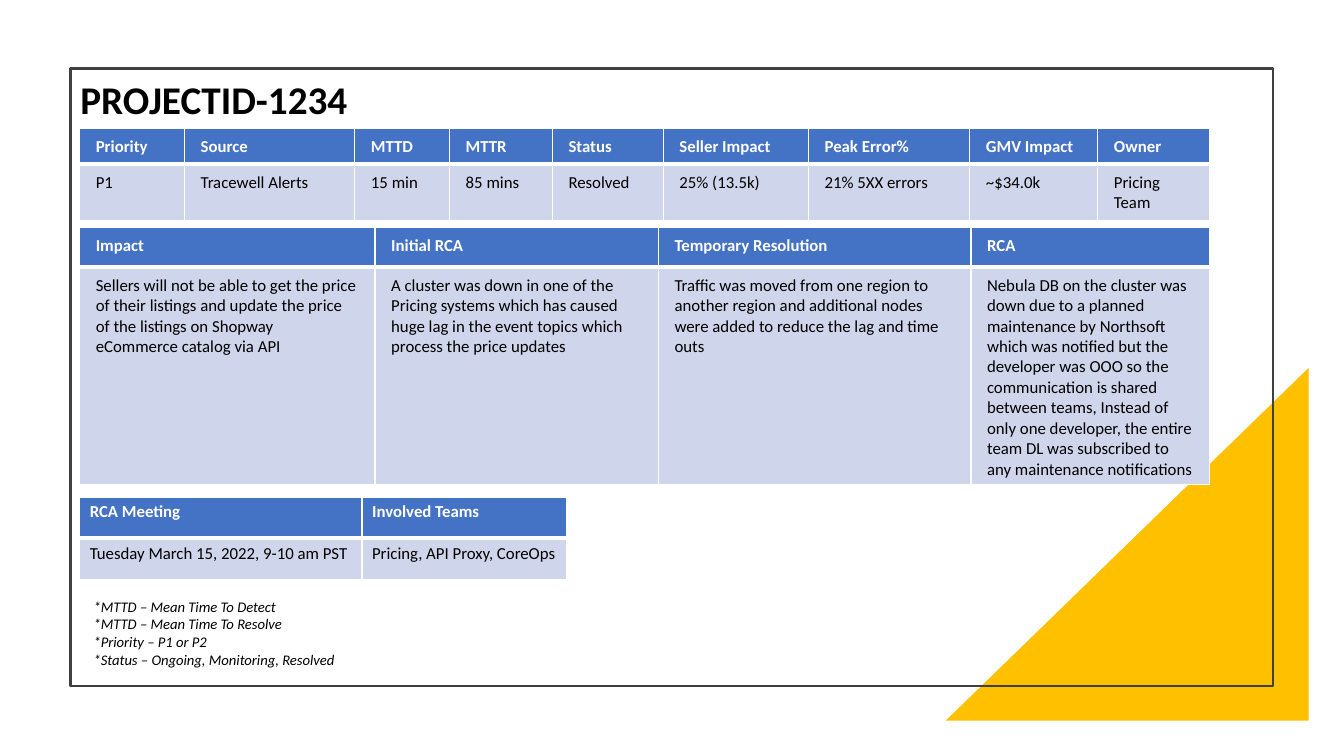
import pptx
import pptx.util
import pptx.dml.color
import pptx.enum.shapes
import pptx.enum.text
import pptx.oxml
import pptx.oxml.ns

Inches = pptx.util.Inches
Pt = pptx.util.Pt
RGBColor = pptx.dml.color.RGBColor
Shape = pptx.enum.shapes.MSO_SHAPE
Anchor = pptx.enum.text.MSO_ANCHOR

WHITE = RGBColor(0xFF, 0xFF, 0xFF)
BLACK = RGBColor(0, 0, 0)
BLUE = RGBColor(0x44, 0x72, 0xC4)
PALE = RGBColor(0xCF, 0xD5, 0xEA)
GOLD = RGBColor(0xFF, 0xC0, 0x00)
GREY = RGBColor(0x40, 0x40, 0x40)
FONT = "Calibri"
LEFT = 0.79

STATUS = [
    ("Priority", "P1", 1.04),
    ("Source", "Tracewell Alerts", 1.69),
    ("MTTD", "15 min", 0.94),
    ("MTTR", "85 mins", 1.02),
    ("Status", "Resolved", 1.1),
    ("Seller Impact", "25% (13.5k)", 1.44),
    ("Peak Error%", "21% 5XX errors", 1.6),
    ("GMV Impact", "~$34.0k", 1.27),
    ("Owner", "Pricing Team", 1.11),
]
CAUSES = [
    ("Impact", "Sellers will not be able to get the price of their listings and "
     "update the price of the listings on Shopway eCommerce catalog via API", 2.93),
    ("Initial RCA", "A cluster was down in one of the Pricing systems which has "
     "caused huge lag in the event topics which process the price updates", 2.81),
    ("Temporary Resolution", "Traffic was moved from one region to another region "
     "and additional nodes were added to reduce the lag and time outs", 3.1),
    ("RCA", "Nebula DB on the cluster was down due to a planned maintenance by "
     "Northsoft which was notified but the developer was OOO so the communication "
     "is shared between teams, Instead of only one developer, the entire team DL "
     "was subscribed to any maintenance notifications", 2.37),
]
MEETING = [
    ("RCA Meeting", "Tuesday March 15, 2022, 9-10 am PST", 2.8),
    ("Involved Teams", "Pricing, API Proxy, CoreOps", 2.03),
]
NOTES = [
    "*MTTD – Mean Time To Detect",
    "*MTTD – Mean Time To Resolve",
    "*Priority – P1 or P2",
    "*Status – Ongoing, Monitoring, Resolved",
]


def style(frame, size, color=BLACK, bold=False, italic=False):
    """Format every run of a text frame."""
    for para in frame.paragraphs:
        for run in para.runs:
            font = run.font
            font.name, font.size = FONT, Pt(size)
            font.bold, font.italic = bold, italic
            font.color.rgb = color


def add_form(slide, kind, box, fill=None, line=None):
    """Add a preset shape with a plain fill or a plain outline."""
    form = slide.shapes.add_shape(kind, *map(Inches, box))
    form.shadow.inherit = False
    if fill is None:
        form.fill.background()
    else:
        form.fill.solid()
        form.fill.fore_color.rgb = fill
    if line is None:
        form.line.fill.background()
    else:
        form.line.color.rgb = line
        form.line.width = Pt(1.5)
    return form


def add_text(slide, box, text, wrap, size, **looks):
    """Add a text box and return its frame."""
    frame = slide.shapes.add_textbox(*map(Inches, box)).text_frame
    frame.word_wrap = wrap
    frame.text = text
    style(frame, size, **looks)
    return frame


def edge_cell(cell, base):
    """Draw white cell borders, with the given width at the bottom."""
    props = cell._tc.get_or_add_tcPr()
    sides = [("L", 1), ("R", 1), ("T", 1), ("B", base)]
    for spot, (side, width) in enumerate(sides):
        props.insert(spot, pptx.oxml.parse_xml(
            f'<a:ln{side} {pptx.oxml.ns.nsdecls("a")} w="{Pt(width)}">'
            f'<a:solidFill><a:srgbClr val="{WHITE}"/></a:solidFill></a:ln{side}>'))


def add_grid(slide, top, cols, rows, inset=None):
    """Add a table of one header row and one value row."""
    wide = sum(col[2] for col in cols)
    grid = slide.shapes.add_table(2, len(cols), Inches(LEFT), Inches(top),
                                  Inches(wide), Inches(sum(rows))).table
    for row, height in zip(grid.rows, rows):
        row.height = Inches(height)
    for x, (head, value, width) in enumerate(cols):
        grid.columns[x].width = Inches(width)
        looks = [(head, BLUE, WHITE, True, 3), (value, PALE, BLACK, False, 1)]
        for y, (text, fill, color, bold, base) in enumerate(looks):
            cell = grid.cell(y, x)
            cell.text_frame.text = text
            style(cell.text_frame, 12, color, bold)
            cell.fill.solid()
            cell.fill.fore_color.rgb = fill
            if inset:
                cell.margin_left = cell.margin_right = Inches(inset[0])
                cell.margin_top = cell.margin_bottom = Inches(inset[1])
            edge_cell(cell, base)


def main():
    """Build the incident slide and save it."""
    deck = pptx.Presentation()
    deck.slide_width, deck.slide_height = Inches(13.33), Inches(7.5)
    slide = deck.slides.add_slide(deck.slide_layouts[6])

    wedge = add_form(slide, Shape.RIGHT_TRIANGLE, (9.38, 3.65, 3.6, 3.5), fill=GOLD)
    wedge._element.spPr.get_or_add_xfrm().set("flipH", "1")
    add_form(slide, Shape.RECTANGLE, (0.7, 0.68, 11.93, 6.13), line=GREY)

    title = add_text(slide, (0.7, 0.35, 8.64, 1.32), "PROJECTID-1234",
                     True, 28, bold=True)
    title.vertical_anchor = Anchor.MIDDLE
    title.paragraphs[0].line_spacing = 0.9

    add_grid(slide, 1.27, STATUS, (0.36, 0.55), (0.16, 0.08))
    add_text(slide, (0.83, 5.88, 2.64, 0.81), "\n".join(NOTES),
             False, 10.5, italic=True)
    add_grid(slide, 2.26, CAUSES, (0.39, 2.15), (0.16, 0.08))
    add_grid(slide, 4.93, MEETING, (0.41, 0.41))
    deck.save("out.pptx")


main()
